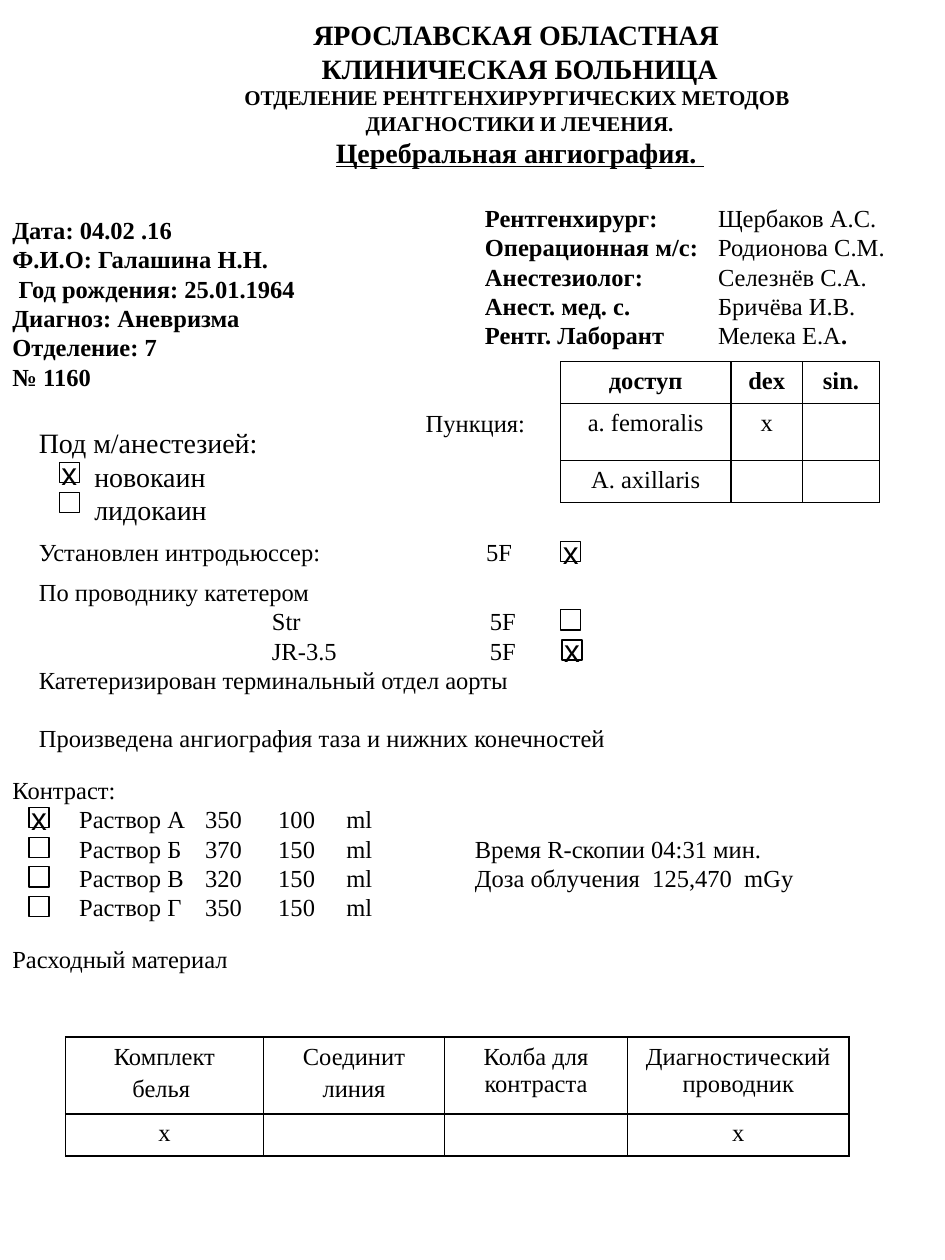
from lxml import etree
from pptx import Presentation
from pptx.dml.color import RGBColor
from pptx.enum.shapes import MSO_SHAPE
from pptx.enum.text import MSO_ANCHOR, PP_ALIGN
from pptx.oxml.ns import qn
from pptx.util import Inches, Pt

RECT = MSO_SHAPE.RECTANGLE
MIDDLE, TOP = MSO_ANCHOR.MIDDLE, MSO_ANCHOR.TOP
LEFT, CENTER = PP_ALIGN.LEFT, PP_ALIGN.CENTER
SERIF, SANS, BLACK = "Times New Roman", "Arial", "000000"

TITLE = [
    ("ЯРОСЛАВСКАЯ ОБЛАСТНАЯ ", 16),
    ("КЛИНИЧЕСКАЯ БОЛЬНИЦА", 16),
    ("ОТДЕЛЕНИЕ РЕНТГЕНХИРУРГИЧЕСКИХ МЕТОДОВ ", 12),
    ("ДИАГНОСТИКИ И ЛЕЧЕНИЯ.", 12),
    ("Церебральная ангиография. ", 16),
]
PATIENT = ["Дата: 04.02 .16", "Ф.И.О: Галашина Н.Н.", " Год рождения: 25.01.1964",
           "Диагноз: Аневризма", "Отделение: 7", "№ 1160"]
STAFF = [
    ("Рентгенхирург:", "Щербаков А.С.", ""),
    ("Операционная м/с:", "Родионова С.М.", ""),
    ("Анестезиолог:", "Селезнёв С.А.", ""),
    ("Анест. мед. с.", "Бричёва И.В.", ""),
    ("Рентг. Лаборант", "Мелека Е.А", "."),
]
NUMBING = ["Под м/анестезией:", "\tновокаин", "\tлидокаин"]
SHEATH = ["Установлен интродьюссер:\t5F"]
CATHETER = ["По проводнику катетером", "\tStr\t5F", "\tJR-3.5\t5F",
            "Катетеризирован терминальный отдел аорты",
            "Произведена ангиография таза и нижних конечностей"]
CONTRAST = ["Контраст:", "\tРаствор А\t350\t100\tml", "\tРаствор Б\t370\t150\tml",
            "\tРаствор В\t320\t150\tml", "\tРаствор Г\t350\t150\tml"]
DOSE = ["Время R-скопии 04:31 мин.", "Доза облучения  125,470  mGy"]

ACCESS = [["доступ", "dex", "sin."], ["a. femoralis", "х", ""], ["А. axillaris", "", ""]]
SUPPLIES = [["Комплект\nбелья ", "Соединит\nлиния", "Колба для контраста",
             "Диагностический проводник"], ["х", "", "", "х"]]

# left, top, ticked
CHECKS = [(0.47, 3.67, True), (0.47, 3.91, False), (4.45, 4.3, True),
          (4.45, 4.84, False), (4.46, 5.08, True)]
CHECKS += [(0.23, 6.41 + 0.235 * i, i == 0) for i in range(4)]


def color(code):
    return RGBColor.from_string(code)


def style(par, size=14, bold=False, face=SERIF, align=LEFT):
    par.alignment = align
    font = par.font
    font.name, font.size, font.bold = face, Pt(size), bold
    font.color.rgb = color(BLACK)


def set_tabs(par, stops):
    if stops:
        tabs = etree.SubElement(par._p.get_or_add_pPr(), qn("a:tabLst"))
        for stop in stops:
            etree.SubElement(tabs, qn("a:tab"), pos=str(Inches(stop)), algn="l")


def add_text(slide, box, lines, size=14, bold=False, anchor=TOP, tabs=(), align=LEFT):
    """Add a text box; a line is a string or a (text, size) pair."""
    frame = slide.shapes.add_textbox(*map(Inches, box)).text_frame
    frame.word_wrap = box[2] > 1
    frame.vertical_anchor = anchor
    for i, line in enumerate(lines):
        text, points = (line, size) if isinstance(line, str) else line
        par = frame.paragraphs[0] if i == 0 else frame.add_paragraph()
        par.add_run().text = text
        set_tabs(par, tabs)
        style(par, points, bold, align=align)
    return frame


def add_staff(slide, box):
    frame = add_text(slide, box, [row[0] for row in STAFF], tabs=[1.85])
    for par, (_, name, end) in zip(frame.paragraphs, STAFF):
        par.runs[0].font.bold = True
        par.add_run().text = "\t" + name
        if end:
            dot = par.add_run()
            dot.text, dot.font.bold = end, True


def add_check(slide, left, top, ticked):
    box = slide.shapes.add_shape(RECT, *map(Inches, (left, top, 0.16, 0.16)))
    box.shadow.inherit = False
    box.fill.background()
    box.line.color.rgb = color(BLACK)
    box.line.width = Pt(0.75)
    if ticked:
        frame = box.text_frame
        frame.word_wrap = False
        frame.vertical_anchor = MIDDLE
        par = frame.paragraphs[0]
        par.add_run().text = "х"
        style(par, 18, face=SANS, align=CENTER)


def add_border(cell, side, width):
    line = etree.SubElement(cell._tc.get_or_add_tcPr(), qn("a:ln" + side), w=str(Pt(width)))
    fill = etree.SubElement(line, qn("a:solidFill"))
    etree.SubElement(fill, qn("a:srgbClr"), val=BLACK)


def add_grid(slide, left, top, cols, heights, rows, edge, head):
    """Add a table; edge is the outer line width, head makes row one bold."""
    area = map(Inches, (left, top, sum(cols), sum(heights)))
    table = slide.shapes.add_table(len(rows), len(cols), *area).table
    table.first_row = table.horz_banding = False
    for col, width in zip(table.columns, cols):
        col.width = Inches(width)
    for row, height in zip(table.rows, heights):
        row.height = Inches(height)
    for r, row in enumerate(rows):
        for c, text in enumerate(row):
            cell = table.cell(r, c)
            outer = {"L": c == 0, "R": c == len(cols) - 1,
                     "T": r == 0, "B": r == len(rows) - 1}
            for side, out in outer.items():
                add_border(cell, side, edge if out else 1)
            cell.fill.background()
            cell.text = text
            for i, par in enumerate(cell.text_frame.paragraphs):
                if i:
                    par.space_before = Pt(2.8)
                style(par, bold=head and r == 0, align=CENTER)
                if not text:
                    etree.SubElement(par._p, qn("a:endParaRPr"), sz="1400")


def main():
    deck = Presentation()
    deck.slide_width, deck.slide_height = Inches(7.5), Inches(10)
    slide = deck.slides.add_slide(deck.slide_layouts[6])

    title = add_text(slide, (0.75, 0, 6.75, 1.48), TITLE, bold=True,
                     anchor=MIDDLE, align=CENTER)
    title.paragraphs[-1].font.underline = True
    add_text(slide, (0, 0.83, 3.31, 3.15), PATIENT, bold=True, anchor=MIDDLE)
    add_staff(slide, (3.75, 1.56, 3.75, 1.28))
    numbing = add_text(slide, (0.21, 3.03, 3.42, 1.97), NUMBING, size=16, tabs=[0.44])
    numbing.margin_top = Inches(0.35)
    add_text(slide, (3.28, 3.19, 0.99, 0.33), ["Пункция:"])
    add_grid(slide, 4.45, 2.87, [1.35, 0.57, 0.61], [0.33, 0.45, 0.33], ACCESS, 0.75, True)
    add_text(slide, (0.21, 4.21, 6.32, 0.33), SHEATH, tabs=[3.55])
    catheter = add_text(slide, (0.21, 4.53, 7.29, 1.51), CATHETER, tabs=[1.85, 3.58])
    catheter.paragraphs[-1].space_before = Pt(16.1)
    add_text(slide, (0, 6.1, 3.72, 1.28), CONTRAST, tabs=[0.53, 1.53, 2.11, 2.65])
    add_text(slide, (3.67, 6.57, 3.12, 0.57), DOSE)
    add_text(slide, (0, 7.44, 6.93, 0.57), ["Расходный материал"])
    add_grid(slide, 0.52, 8.23, [1.57, 1.44, 1.45, 1.76], [0.61, 0.33], SUPPLIES, 1, False)
    for check in CHECKS:
        add_check(slide, *check)

    deck.save("out.pptx")


if __name__ == "__main__":
    main()
